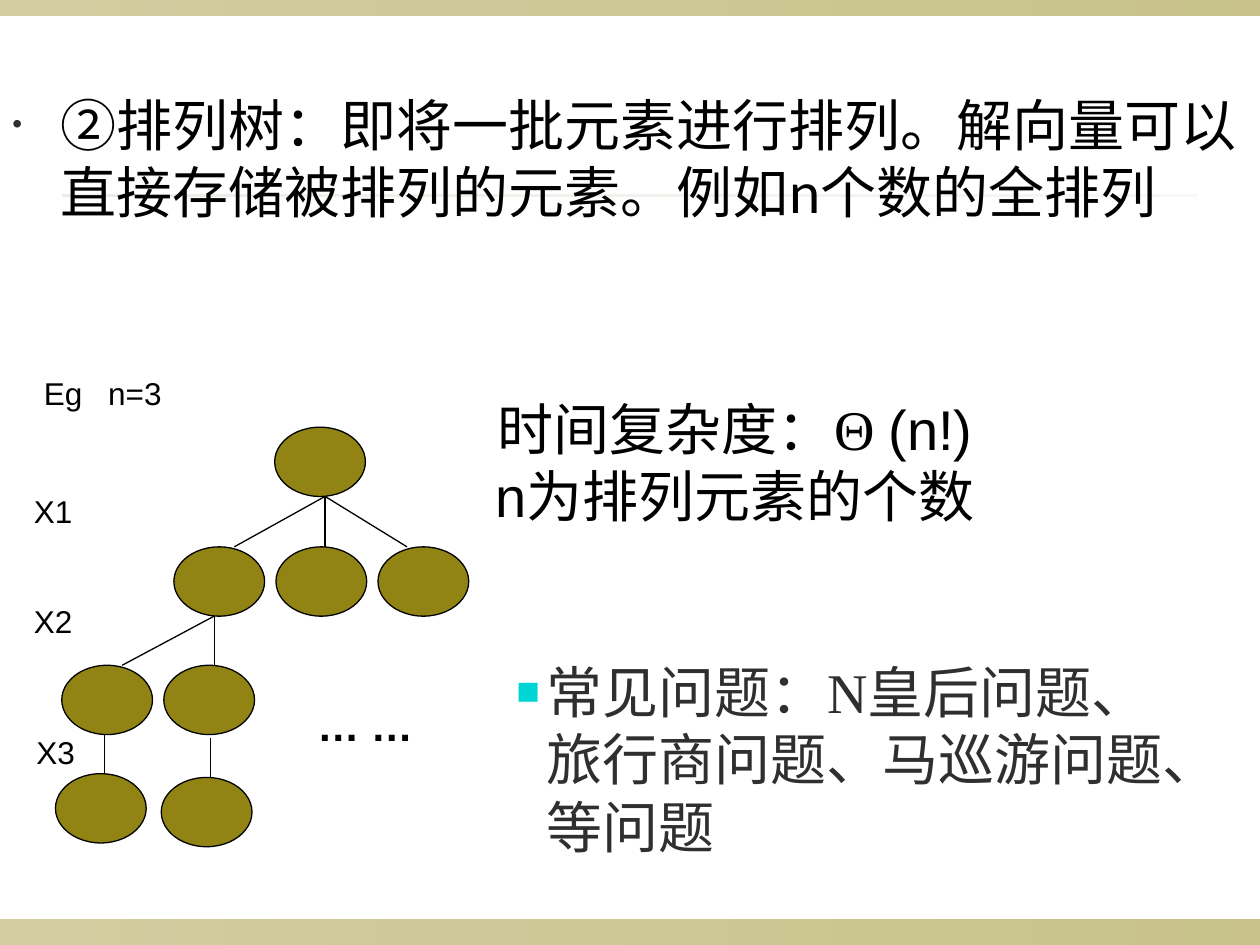
from lxml.etree import SubElement as Sub
from pptx import Presentation
from pptx.dml.color import RGBColor as Rgb
from pptx.enum.shapes import MSO_CONNECTOR as Link, MSO_SHAPE as Kind
from pptx.enum.text import PP_ALIGN as Align
from pptx.oxml.ns import qn
from pptx.util import Inches, Pt

HUES = {"olive": "918415", "sand": "DCD9CC", "ink": "000000",
        "gray": "2F2F2F", "cyan": "00D5D5"}


def hue(name):
    return Rgb.from_string(HUES[name])


def band(slide, x, y, w, h, tone, start, end):
    bar = slide.shapes.add_shape(
        Kind.RECTANGLE, Inches(x), Inches(y), Inches(w), Inches(h))
    bar.shadow.inherit = False
    bar.line.fill.background()
    bar.fill.gradient()
    bar.fill.gradient_angle = 0
    for stop in bar.fill.gradient_stops:
        stop.color.rgb = hue(tone)
    marks = bar.fill._xPr.iter(qn("a:srgbClr"))
    for mark, part in zip(marks, (start, end)):
        Sub(mark, qn("a:alpha"), val=str(part * 1000))


def node(slide, x, y):
    oval = slide.shapes.add_shape(
        Kind.OVAL, Inches(x), Inches(y), Inches(0.72), Inches(0.55))
    oval.shadow.inherit = False
    oval.fill.solid()
    oval.fill.fore_color.rgb = hue("olive")
    oval.line.color.rgb = hue("ink")
    oval.line.width = Pt(0.75)


def edge(slide, x, y, to_x, to_y):
    line = slide.shapes.add_connector(
        Link.STRAIGHT, Inches(x), Inches(y), Inches(to_x), Inches(to_y))
    line.line.color.rgb = hue("ink")
    line.line.width = Pt(0.75)
    Sub(line._element.spPr, qn("a:effectLst"))


def bullet(para, sign, tone, size, hang):
    props = para._p.get_or_add_pPr()
    props.set("marL", str(Inches(hang)))
    props.set("indent", str(-Inches(hang)))
    Sub(Sub(props, qn("a:buClr")), qn("a:srgbClr"), val=HUES[tone])
    Sub(props, qn("a:buSzPct"), val=str(size * 1000))
    Sub(props, qn("a:buFont"), typeface="Arial")
    Sub(props, qn("a:buChar"), char=sign)


def tab(para, x):
    stops = Sub(para._p.get_or_add_pPr(), qn("a:tabLst"))
    Sub(stops, qn("a:tab"), pos=str(Inches(x)), algn="l")


def write(slide, x, y, w, h, text, size, face="Arial", tone="ink", bold=False):
    box = slide.shapes.add_textbox(Inches(x), Inches(y), Inches(w), Inches(h))
    frame = box.text_frame
    frame.word_wrap = True
    frame.text = text
    for para in frame.paragraphs:
        for run in para.runs:
            run.font.size = Pt(size)
            run.font.name = face
            run.font.bold = bold
            run.font.color.rgb = hue(tone)
    return frame


def frame_bands(slide, x, y, w, h):
    band(slide, x, y + h - 0.2, w, 0.2, "olive", 40, 50)
    band(slide, x, y, w, 0.12, "olive", 40, 50)
    band(slide, x + 0.5, y + 1.54, w - 1, 0.02, "sand", 50, 20)


def intro(slide, x, y, w, h):
    text = "②排列树：即将一批元素进行排列。解向量可以直接存储被排列的元素。例如n个数的全排列"
    para = write(slide, x, y, w, h, text, 32, "Lato").paragraphs[0]
    bullet(para, "•", "gray", 50, 0.38)


def tree(slide, x, y):
    root, fork = 2.41, 1.53
    for end in (1.69, root, 3.06):
        edge(slide, x + root, y + 1.02, x + end, y + 1.42)
    for end in (0.8, fork):
        edge(slide, x + fork, y + 1.97, x + end, y + 2.36)
    for side, top in ((0.66, 2.91), (1.5, 2.94)):
        edge(slide, x + side, y + top, x + side, y + top + 0.33)
    for left, top, count in ((2.01, 0.47, 1), (1.21, 1.42, 3), (0.32, 2.36, 2)):
        for step in range(count):
            node(slide, x + left + step * 0.81, y + top)
    node(slide, x + 0.27, y + 3.22)
    node(slide, x + 1.11, y + 3.25)
    for text, left, top in (("X1", 0, 0.94), ("X2", 0, 1.81), ("X3", 0.02, 2.85)):
        write(slide, x + left, y + top, 0.72, 0.4, text, 18)
    head = write(slide, x + 0.08, y, 1.21, 0.4, "Eg\tn=3", 18)
    tab(head.paragraphs[0], 0.51)
    write(slide, x + 2.25, y + 2.58, 1.17, 0.5, "… …", 24, bold=True)


def cost(slide, x, y, w, h):
    frame = write(slide, x, y, w, h, "时间复杂度：\nn为排列元素的个数", 32)
    first = frame.paragraphs[0]
    for text, face in (("Θ ", "Times New Roman"), ("(n!)", "Arial")):
        run = first.add_run()
        run.text = text
        run.font.size = Pt(32)
        run.font.name = face
        run.font.color.rgb = hue("ink")
    for para in frame.paragraphs:
        para.alignment = Align.CENTER


def cases(slide, x, y, w, h):
    text = "常见问题：N皇后问题、旅行商问题、马巡游问题、等问题"
    frame = write(slide, x, y, w, h, text, 32, "Times New Roman", "gray")
    bullet(frame.paragraphs[0], "■", "cyan", 70, 0.24)


def main():
    deck = Presentation()
    deck.slide_width, deck.slide_height = Inches(10), Inches(7.5)
    slide = deck.slides.add_slide(deck.slide_layouts[6])
    frame_bands(slide, 0, 0, 10, 7.5)
    intro(slide, 0, 0.67, 10, 6.67)
    tree(slide, 0.17, 2.92)
    cost(slide, 3.75, 3.08, 4.17, 1.17)
    cases(slide, 4, 5.17, 5.58, 1.7)
    deck.save("out.pptx")


if __name__ == "__main__":
    main()
